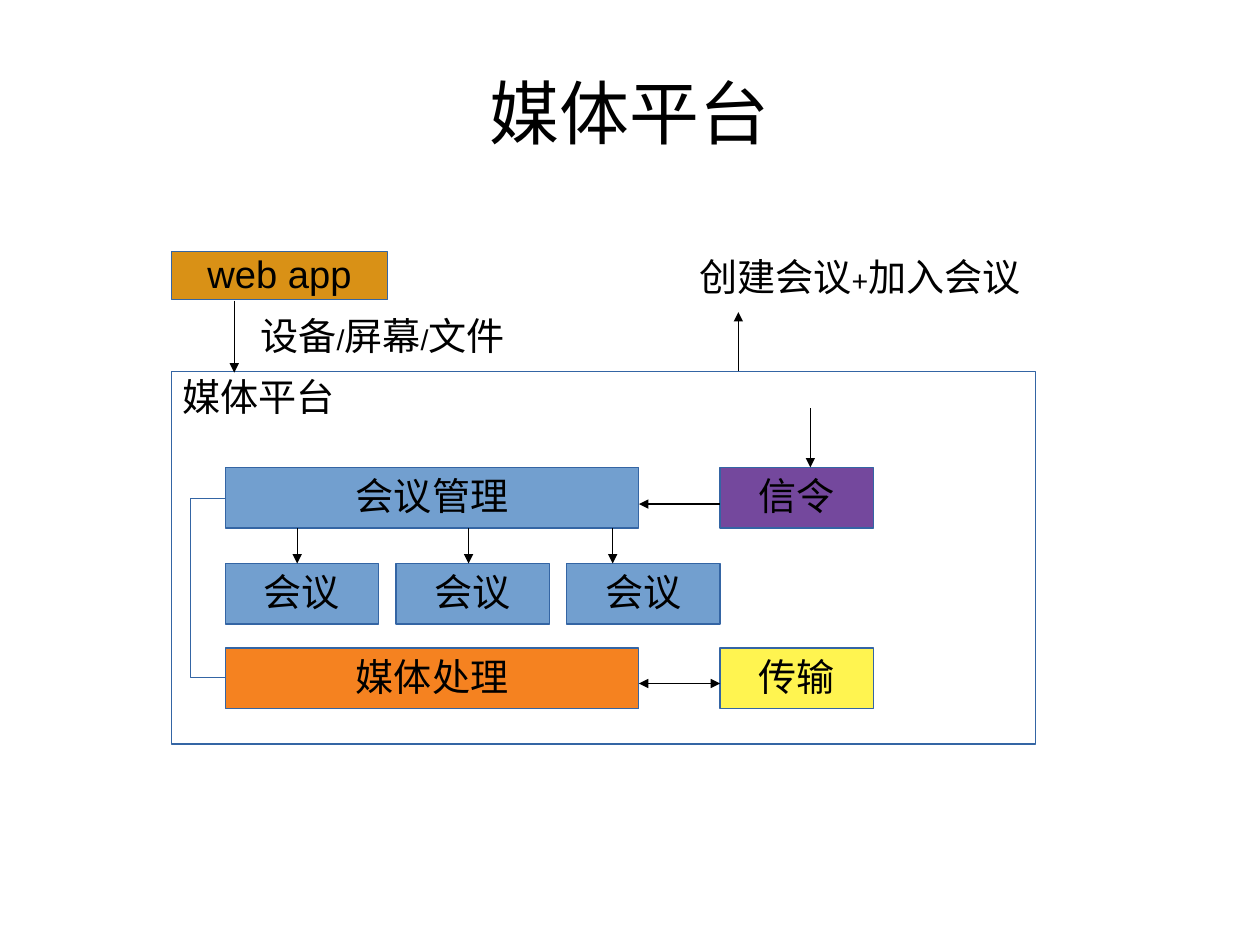
from lxml import etree
from pptx import Presentation
from pptx.dml.color import RGBColor
from pptx.enum.shapes import MSO_CONNECTOR, MSO_SHAPE
from pptx.enum.text import MSO_ANCHOR, MSO_AUTO_SIZE, PP_ALIGN
from pptx.oxml.ns import qn
from pptx.util import Cm, Inches, Pt

RECTANGLE = MSO_SHAPE.RECTANGLE
STRAIGHT = MSO_CONNECTOR.STRAIGHT
TOP, MIDDLE = MSO_ANCHOR.TOP, MSO_ANCHOR.MIDDLE
LEFT, CENTER = PP_ALIGN.LEFT, PP_ALIGN.CENTER
NO_AUTOFIT = MSO_AUTO_SIZE.NONE

BLACK = RGBColor(0x00, 0x00, 0x00)
OUTLINE = RGBColor(0x34, 0x65, 0xA4)
BLUE = RGBColor(0x72, 0x9F, 0xCF)
GOLD = RGBColor(0xD9, 0x91, 0x16)
ORANGE = RGBColor(0xF5, 0x82, 0x20)
YELLOW = RGBColor(0xFF, 0xF4, 0x50)
PURPLE = RGBColor(0x74, 0x48, 0x9D)

LINE_WIDTH = Pt(0.74)
BOX_HEIGHT = 0.53
WIDE, NARROW = 3.62, 1.34
MAIN_LEFT, SIDE_LEFT = 1.97, 6.3
MANAGE_TOP, MEETING_TOP, MEDIA_TOP = 4.09, 4.93, 5.67
MEETING_STEP = (SIDE_LEFT - NARROW - MAIN_LEFT) / 2


def style_paragraph(para, size, align):
    """Apply the common black Arial style to a paragraph."""
    para.alignment = align
    para.line_spacing = 0.93
    para.font.name = "Arial"
    para.font.size = Pt(size)
    para.font.color.rgb = BLACK


def add_title(page, text):
    """Place and fill the title placeholder."""
    title = page.shapes.title
    title.left, title.top = Inches(0.55), Inches(0.33)
    title.width, title.height = Inches(9.92), Inches(1.38)
    frame = title.text_frame
    frame.text = text
    frame.auto_size = NO_AUTOFIT
    frame.vertical_anchor = MIDDLE
    frame.margin_left = frame.margin_right = 0
    frame.margin_top = frame.margin_bottom = 0
    style_paragraph(frame.paragraphs[0], 44, CENTER)


def add_box(page, text, left, top, width, height=BOX_HEIGHT, fill=None,
            align=CENTER, anchor=MIDDLE):
    """Add an outlined rectangle with a label."""
    box = page.shapes.add_shape(
        RECTANGLE, Inches(left), Inches(top), Inches(width), Inches(height))
    box.shadow.inherit = False
    if fill is None:
        box.fill.background()
    else:
        box.fill.solid()
        box.fill.fore_color.rgb = fill
    box.line.color.rgb = OUTLINE
    box.line.width = LINE_WIDTH
    frame = box.text_frame
    frame.text = text
    frame.word_wrap = False
    frame.vertical_anchor = anchor
    style_paragraph(frame.paragraphs[0], 24, align)


def add_caption(page, pieces, left, top, width, height, align):
    """Add free text whose separators are smaller than its words."""
    box = page.shapes.add_textbox(
        Inches(left), Inches(top), Inches(width), Inches(height))
    frame = box.text_frame
    frame.word_wrap = True
    para = frame.paragraphs[0]
    style_paragraph(para, 24, align)
    for piece in pieces:
        span = para.add_run()
        span.text = piece
        if piece in "/+":
            span.font.size = Pt(18)


def add_arrow(page, start, end, ends=("tailEnd",)):
    """Add a thin black line with triangles at the given ends."""
    arrow = page.shapes.add_connector(
        STRAIGHT, *(Inches(value) for value in (*start, *end)))
    arrow.line.color.rgb = BLACK
    arrow.line.width = LINE_WIDTH
    outline = arrow.line._get_or_add_ln()
    for end_name in ends:
        etree.SubElement(outline, qn(f"a:{end_name}"), type="triangle")
    etree.SubElement(arrow._element.spPr, qn("a:effectLst"))


def add_bracket(page, points):
    """Add an open outline through the given points."""
    corners = [(Inches(x), Inches(y)) for x, y in points]
    builder = page.shapes.build_freeform(*corners[0])
    builder.add_line_segments(corners[1:], close=False)
    bracket = builder.convert_to_shape()
    bracket.shadow.inherit = False
    bracket.fill.background()
    bracket.line.color.rgb = OUTLINE
    bracket.line.width = LINE_WIDTH


def main():
    """Build the media platform slide."""
    deck = Presentation()
    deck.slide_width, deck.slide_height = Cm(28), Cm(21)
    page = deck.slides.add_slide(deck.slide_layouts.get_by_name("Title Only"))
    add_title(page, "媒体平台")

    add_box(page, "媒体平台", 1.5, 3.25, 7.56, 3.26, align=LEFT, anchor=TOP)
    add_box(page, "web app", 1.5, 2.2, 1.89, 0.42, GOLD)
    add_caption(page, ("设备", "/", "屏幕", "/", "文件"),
                2.18, 2.72, 3.1, 0.5, LEFT)
    add_caption(page, ("创建会议", "+", "加入会议"),
                5.91, 2.2, 3.23, 0.55, CENTER)

    for text, left, top, width, fill in (
            ("会议管理", MAIN_LEFT, MANAGE_TOP, WIDE, BLUE),
            ("信令", SIDE_LEFT, MANAGE_TOP, NARROW, PURPLE),
            ("媒体处理", MAIN_LEFT, MEDIA_TOP, WIDE, ORANGE),
            ("传输", SIDE_LEFT, MEDIA_TOP, NARROW, YELLOW)):
        add_box(page, text, left, top, width, fill=fill)

    manage_bottom = MANAGE_TOP + BOX_HEIGHT
    for index, arrow_x in enumerate((2.6, 4.1, 5.36)):
        add_box(page, "会议", MAIN_LEFT + index * MEETING_STEP, MEETING_TOP,
                NARROW, fill=BLUE)
        add_arrow(page, (arrow_x, manage_bottom), (arrow_x, MEETING_TOP))

    main_right = MAIN_LEFT + WIDE
    add_arrow(page, (2.05, 2.63), (2.05, 3.26))
    add_arrow(page, (6.46, 3.25), (6.46, 2.73))
    add_arrow(page, (7.09, 3.57), (7.09, MANAGE_TOP))
    add_arrow(page, (main_right, 4.41), (SIDE_LEFT, 4.41), ("headEnd",))
    add_arrow(page, (main_right, 5.98), (SIDE_LEFT, 5.98),
              ("headEnd", "tailEnd"))
    add_bracket(page, ((MAIN_LEFT, 4.36), (1.67, 4.36),
                       (1.67, 5.93), (MAIN_LEFT, 5.93)))
    deck.save("out.pptx")


main()
